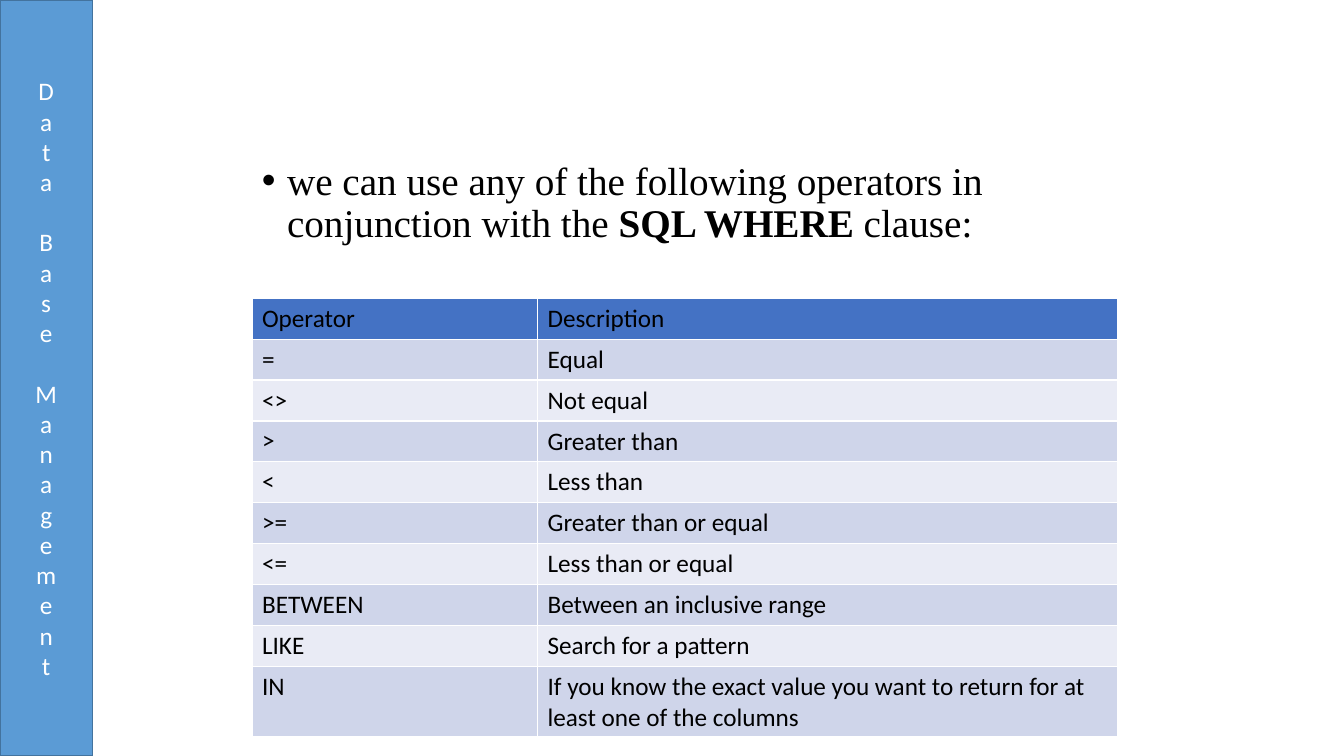
import pptx
import pptx.dml.color
import pptx.enum.shapes
import pptx.enum.text
import pptx.oxml
import pptx.oxml.ns
import pptx.util

PX = 9525
COLORS = {
    "sidebar": "5B9BD5",
    "sidebar_line": "43739E",
    "header": "4472C4",
    "odd_row": "CFD5EA",
    "even_row": "E9EBF5",
    "white": "FFFFFF",
    "black": "000000",
}
SIDEBAR_FONT = {"name": "Calibri", "size": pptx.util.Pt(18), "color": "white"}
TABLE_FONT = {"name": "Calibri", "size": pptx.util.Pt(18), "color": "black", "bold": False}
BODY_FONT = {"name": "Times New Roman", "size": pptx.util.Pt(28), "color": "black"}
ANCHOR = pptx.enum.text.MSO_ANCHOR
INTRODUCTION = [
    ("we can use any of the following operators in conjunction with the ", False),
    ("SQL WHERE", True),
    (" clause:", False),
]
OPERATORS = [
    ("Operator", "Description"),
    ("=", "Equal"),
    ("<>", "Not equal"),
    (">", "Greater than"),
    ("<", "Less than"),
    (">=", "Greater than or equal"),
    ("<=", "Less than or equal"),
    ("BETWEEN", "Between an inclusive range"),
    ("LIKE", "Search for a pattern"),
    ("IN", "If you know the exact value you want to return for at least one of the columns"),
]
COLUMN_WIDTHS = [272, 552]
ROW_HEIGHTS = [39] * 9 + [67]


def rgb(color):
    return pptx.dml.color.RGBColor.from_string(COLORS[color])


def box(*lengths):
    return [length * PX for length in lengths]


def set_attributes(target, values):
    for name, value in values.items():
        setattr(target, name, value)


def set_fill(fill, color):
    fill.solid()
    fill.fore_color.rgb = rgb(color)


def add_run(paragraph, text, font, bold=False):
    run = paragraph.add_run()
    run.text = text
    values = {**font, "bold": bold}
    run.font.color.rgb = rgb(values.pop("color"))
    set_attributes(run.font, values)


def add_xml(parent, xml, position=None):
    namespace = pptx.oxml.ns.nsdecls("a")
    element = pptx.oxml.parse_xml(xml.replace(" ", f" {namespace} ", 1))
    parent.insert(len(parent) if position is None else position, element)


def add_sidebar(slide, text, left, top, width, height):
    shape = slide.shapes.add_shape(
        pptx.enum.shapes.MSO_SHAPE.RECTANGLE, *box(left, top, width, height)
    )
    shape.shadow.inherit = False
    set_fill(shape.fill, "sidebar")
    shape.line.color.rgb = rgb("sidebar_line")
    shape.line.width = pptx.util.Pt(1)
    frame = shape.text_frame
    frame.vertical_anchor = ANCHOR.MIDDLE
    frame._txBody.bodyPr.set("vert", "wordArtVert")
    paragraph = frame.paragraphs[0]
    paragraph.alignment = pptx.enum.text.PP_ALIGN.CENTER
    add_run(paragraph, text, SIDEBAR_FONT)


def add_bullet_text(slide, runs, left, top, width, height):
    frame = slide.shapes.add_textbox(*box(left, top, width, height)).text_frame
    set_attributes(frame, {"word_wrap": True, "vertical_anchor": ANCHOR.TOP})
    paragraph = frame.paragraphs[0]
    paragraph.line_spacing = 0.9
    properties = paragraph._p.get_or_add_pPr()
    properties.set("marL", str(24 * PX))
    properties.set("indent", str(-24 * PX))
    add_xml(properties, '<a:buFont typeface="Arial"/>')
    add_xml(properties, '<a:buChar char="•"/>')
    for text, bold in runs:
        add_run(paragraph, text, BODY_FONT, bold)


def add_cell_borders(cell):
    properties = cell._tc.get_or_add_tcPr()
    for position, side in enumerate(("lnL", "lnR", "lnT", "lnB")):
        add_xml(
            properties,
            f'<a:{side} w="{pptx.util.Pt(1)}"><a:solidFill>'
            f'<a:srgbClr val="{COLORS["white"]}"/></a:solidFill></a:{side}>',
            position,
        )


def row_color(row_index):
    if row_index == 0:
        return "header"
    return "odd_row" if row_index % 2 else "even_row"


def add_operator_table(slide, rows, left, top):
    table = slide.shapes.add_table(
        len(rows), len(COLUMN_WIDTHS),
        *box(left, top, sum(COLUMN_WIDTHS), sum(ROW_HEIGHTS)),
    ).table
    for column, width in zip(table.columns, COLUMN_WIDTHS):
        column.width = width * PX
    for row, height in zip(table.rows, ROW_HEIGHTS):
        row.height = height * PX
    for row_index, texts in enumerate(rows):
        for column_index, text in enumerate(texts):
            cell = table.cell(row_index, column_index)
            cell.vertical_anchor = ANCHOR.MIDDLE if column_index else ANCHOR.TOP
            add_cell_borders(cell)
            set_fill(cell.fill, row_color(row_index))
            add_run(cell.text_frame.paragraphs[0], text, TABLE_FONT)


def main():
    presentation = pptx.Presentation()
    set_attributes(presentation, {"slide_width": 1280 * PX, "slide_height": 720 * PX})
    slide = presentation.slides.add_slide(presentation.slide_layouts[6])
    add_sidebar(slide, "Data Base Management", 0, 0, 88, 720)
    add_bullet_text(slide, INTRODUCTION, 240, 149, 816, 444)
    add_operator_table(slide, OPERATORS, 240, 284)
    presentation.save("out.pptx")


if __name__ == "__main__":
    main()
